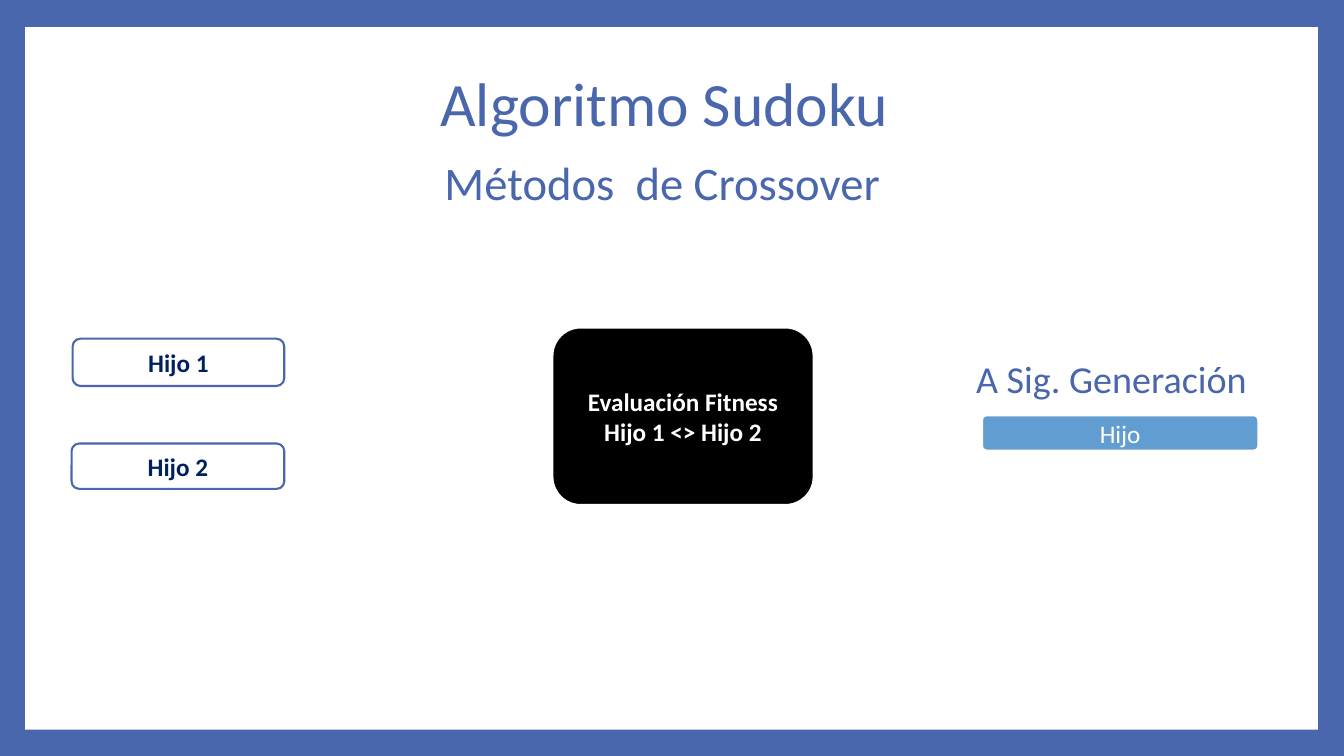
"""Build the slide on crossover methods for the Sudoku algorithm."""
import pptx
import pptx.dml.color
import pptx.enum.shapes
import pptx.enum.text
import pptx.util

COLORS = {"blue": "4A66AC", "light_blue": "629DD1", "navy": "002060",
          "white": "FFFFFF", "black": "000000"}
FONT = "Calibri"
SLIDE_SIZE = (13.33, 7.5)
PANEL = (0.25, 0.27, 12.82, 6.97)

TITLE = {"lines": ["Algoritmo Sudoku"], "at": (1.19, 0.58, 10.8, 0.95),
         "size": 44, "spacing": 0.9, "align": "CENTER", "anchor": "MIDDLE"}
LABELS = [
    {"lines": ["Métodos  de Crossover"], "at": (4.26, 1.54, 4.67, 1.09),
     "size": 33.3, "spacing": 0.9, "align": "LEFT", "indent": 0.05},
    {"lines": ["A Sig. Generación"], "at": (9.49, 3.56, 3.02, 0.54),
     "size": 27.2, "spacing": 0.8, "align": "CENTER", "indent": 0.05},
]
CHILD = {"fill": "white", "line": "blue", "width": 1.5, "color": "navy", "bold": True}
RESULT = {"fill": "light_blue", "line": "white", "width": 4.25, "color": "white", "bold": False}
FITNESS = {"fill": "black", "line": "white", "width": 4.25, "color": "white", "bold": True}
BOXES = [
    (["Hijo"], (9.72, 4.1, 2.78, 0.39), RESULT),
    (["Hijo 1"], (0.72, 3.36, 2.1, 0.47), CHILD),
    (["Hijo 2"], (0.71, 4.4, 2.11, 0.45), CHILD),
    (["Evaluación Fitness", "Hijo 1 <> Hijo 2"], (5.46, 3.23, 2.63, 1.8), FITNESS),
]


def rgb(name):
    return pptx.dml.color.RGBColor.from_string(COLORS[name])


def inches(values):
    return [pptx.util.Inches(value) for value in values]


def write(shape, lines, size, color="blue", bold=False, align="CENTER",
          anchor="TOP", spacing=1.0, indent=0):
    frame = shape.text_frame
    frame.word_wrap = True
    frame.auto_size = pptx.enum.text.MSO_AUTO_SIZE.NONE
    frame.vertical_anchor = getattr(pptx.enum.text.MSO_ANCHOR, anchor)
    paragraph = frame.paragraphs[0]
    paragraph.alignment = getattr(pptx.enum.text.PP_ALIGN, align)
    paragraph.line_spacing = spacing
    if indent:
        paragraph._p.get_or_add_pPr().set("marL", str(pptx.util.Inches(indent)))
    for number, line in enumerate(lines):
        if number:
            paragraph.add_line_break()
        run = paragraph.add_run()
        run.text = line
        run.font.name = FONT
        run.font.size = pptx.util.Pt(size)
        run.font.bold = bold
        run.font.color.rgb = rgb(color)


def add_box(slide, kind, at, fill):
    shape = slide.shapes.add_shape(kind, *inches(at))
    shape.shadow.inherit = False
    shape.fill.solid()
    shape.fill.fore_color.rgb = rgb(fill)
    return shape


def main():
    presentation = pptx.Presentation()
    presentation.slide_width, presentation.slide_height = inches(SLIDE_SIZE)
    slide = presentation.slides.add_slide(presentation.slide_layouts[5])
    slide.background.fill.solid()
    slide.background.fill.fore_color.rgb = rgb("blue")

    kinds = pptx.enum.shapes.MSO_SHAPE
    panel = add_box(slide, kinds.RECTANGLE, PANEL, "white")
    panel.line.fill.background()
    title = slide.shapes.title
    title._element.addprevious(panel._element)

    title.left, title.top, title.width, title.height = inches(TITLE["at"])
    write(title, **{key: value for key, value in TITLE.items() if key != "at"})

    for lines, at, style in BOXES:
        box = add_box(slide, kinds.ROUNDED_RECTANGLE, at, style["fill"])
        box.line.color.rgb = rgb(style["line"])
        box.line.width = pptx.util.Pt(style["width"])
        write(box, lines, 18, style["color"], style["bold"], anchor="MIDDLE")

    for label in LABELS:
        text_box = slide.shapes.add_textbox(*inches(label["at"]))
        write(text_box, **{key: value for key, value in label.items() if key != "at"})

    presentation.save("out.pptx")


if __name__ == "__main__":
    main()
